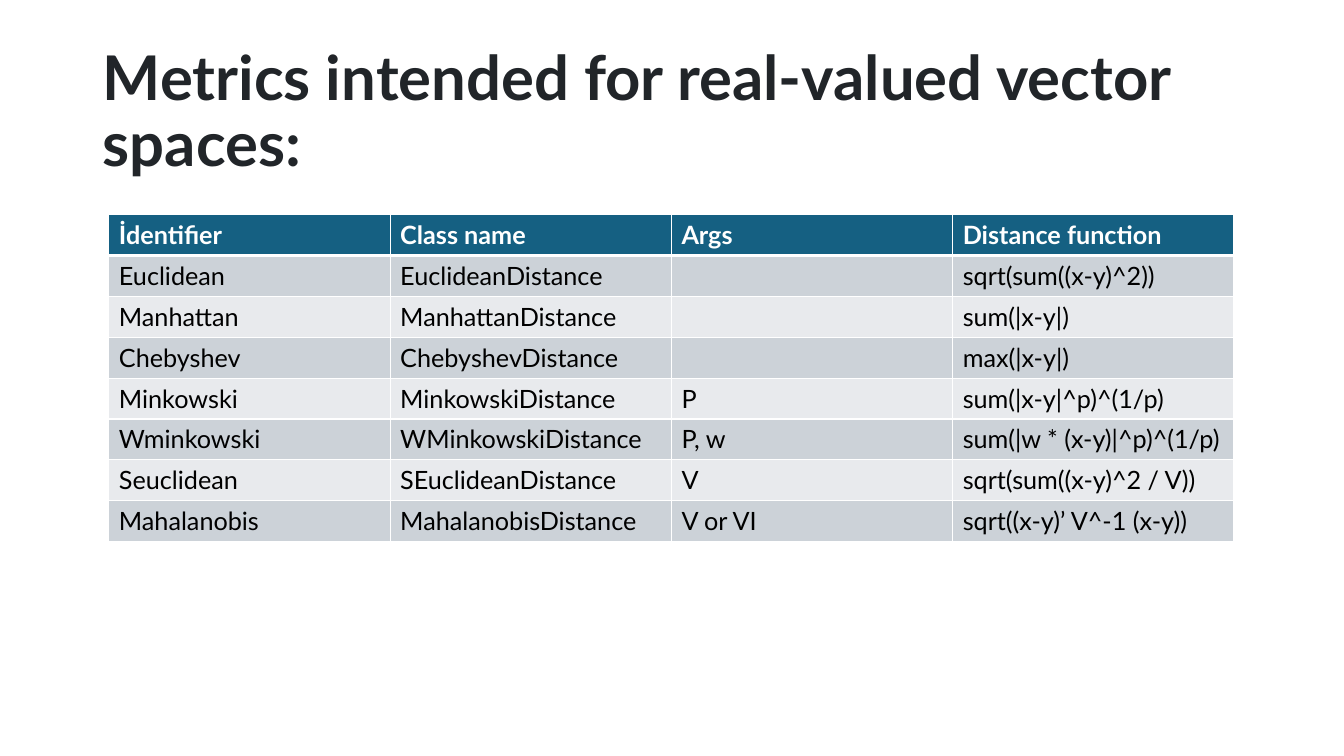
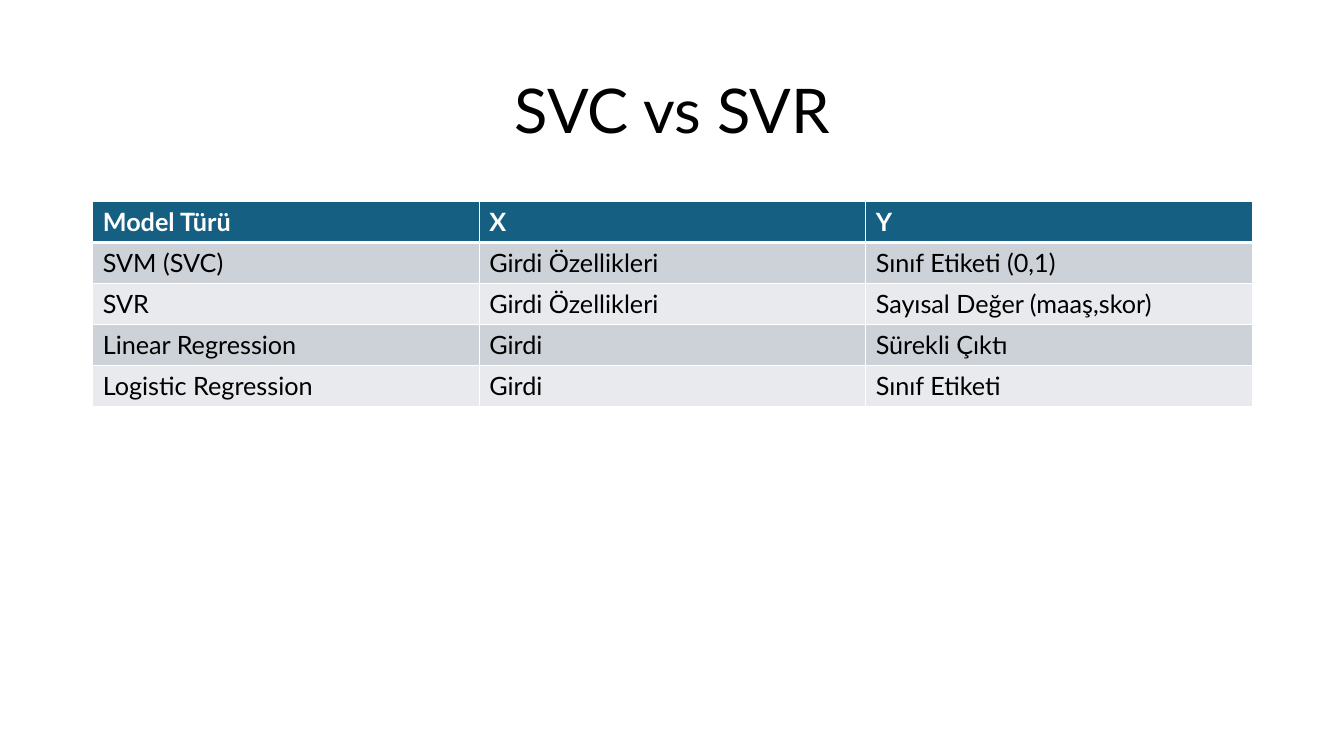
from lxml.etree import SubElement
from pptx import Presentation
from pptx.dml.color import RGBColor
from pptx.enum.text import MSO_ANCHOR, MSO_AUTO_SIZE, PP_ALIGN
from pptx.oxml.ns import qn
from pptx.util import Inches, Pt

# Content
SLIDES = [
    {
        "title": "Metrics intended for real-valued vector spaces:",
        "title_style": {"color": "212529", "bold": True, "align": PP_ALIGN.LEFT},
        "table_box": (1.08, 2.13, 11.16, 3.24),
        "rows": [
            ("İdentifier", "Class name", "Args", "Distance function"),
            ("Euclidean", "EuclideanDistance", "", "sqrt(sum((x-y)^2))"),
            ("Manhattan", "ManhattanDistance", "", "sum(|x-y|)"),
            ("Chebyshev", "ChebyshevDistance", "", "max(|x-y|)"),
            ("Minkowski", "MinkowskiDistance", "P", "sum(|x-y|^p)^(1/p)"),
            ("Wminkowski", "WMinkowskiDistance", "P, w", "sum(|w * (x-y)|^p)^(1/p)"),
            ("Seuclidean", "SEuclideanDistance", "V", "sqrt(sum((x-y)^2 / V))"),
            ("Mahalanobis", "MahalanobisDistance", "V or VI", "sqrt((x-y)’ V^-1 (x-y))"),
        ],
    },
    {
        "title": "SVC vs SVR",
        "title_style": {"color": "000000", "bold": False, "align": PP_ALIGN.CENTER},
        "table_box": (0.92, 2, 11.5, 2.03),
        "rows": [
            ("Model Türü", "X", "Y"),
            ("SVM (SVC)", "Girdi Özellikleri", "Sınıf Etiketi (0,1)"),
            ("SVR", "Girdi Özellikleri", "Sayısal Değer (maaş,skor)"),
            ("Linear Regression", "Girdi", "Sürekli Çıktı"),
            ("Logistic Regression", "Girdi", "Sınıf Etiketi"),
        ],
    },
]

# Shared style
FONT = "Lato"
TITLE_BOX = (0.92, 0.4, 11.5, 1.45)
TITLE_SIZE, CELL_SIZE = 44, 18
HEADER_FILL, BAND_FILLS = "156082", ("E8EAED", "CCD2D8")
HEADER_TEXT, BODY_TEXT, BORDER = "FFFFFF", "000000", "FFFFFF"
THIN, THICK = 1, 3


def rgb(value):
    return RGBColor.from_string(value)


def add_run(paragraph, text, size, color, bold):
    run = paragraph.add_run()
    run.text = text
    run.font.name = FONT
    run.font.size = Pt(size)
    run.font.bold = bold
    run.font.color.rgb = rgb(color)


def set_borders(cell, top, bottom):
    properties = cell._tc.get_or_add_tcPr()
    sides = (("lnL", THIN), ("lnR", THIN), ("lnT", top), ("lnB", bottom))
    for position, (side, width) in enumerate(sides):
        line = SubElement(properties, qn(f"a:{side}"), w=str(Pt(width)))
        SubElement(SubElement(line, qn("a:solidFill")), qn("a:srgbClr"), val=BORDER)
        properties.insert(position, line)  # borders come before the fill


def fill_title(title, text, color, bold, align):
    title.left, title.top, title.width, title.height = map(Inches, TITLE_BOX)
    frame = title.text_frame
    frame.word_wrap = True
    frame.auto_size = MSO_AUTO_SIZE.NONE
    frame.vertical_anchor = MSO_ANCHOR.MIDDLE
    paragraph = frame.paragraphs[0]
    paragraph.alignment = align
    paragraph.line_spacing = 0.9
    add_run(paragraph, text, TITLE_SIZE, color, bold)


def add_banded_table(slide, rows, box):
    left, top, width, height = map(Inches, box)
    table = slide.shapes.add_table(len(rows), len(rows[0]), left, top, width, height).table
    for r, values in enumerate(rows):
        header = r == 0
        for c, text in enumerate(values):
            cell = table.cell(r, c)
            cell.fill.solid()
            cell.fill.fore_color.rgb = rgb(HEADER_FILL if header else BAND_FILLS[r % 2])
            set_borders(cell, THICK if r == 1 else THIN, THICK if header else THIN)
            if text:
                add_run(cell.text_frame.paragraphs[0], text, CELL_SIZE,
                        HEADER_TEXT if header else BODY_TEXT, header)


def main():
    deck = Presentation()
    deck.slide_width, deck.slide_height = Inches(13.33), Inches(7.5)
    title_only = deck.slide_layouts[5]
    for content in SLIDES:
        slide = deck.slides.add_slide(title_only)
        fill_title(slide.shapes.title, content["title"], **content["title_style"])
        add_banded_table(slide, content["rows"], content["table_box"])
    deck.save("out.pptx")


if __name__ == "__main__":
    main()
